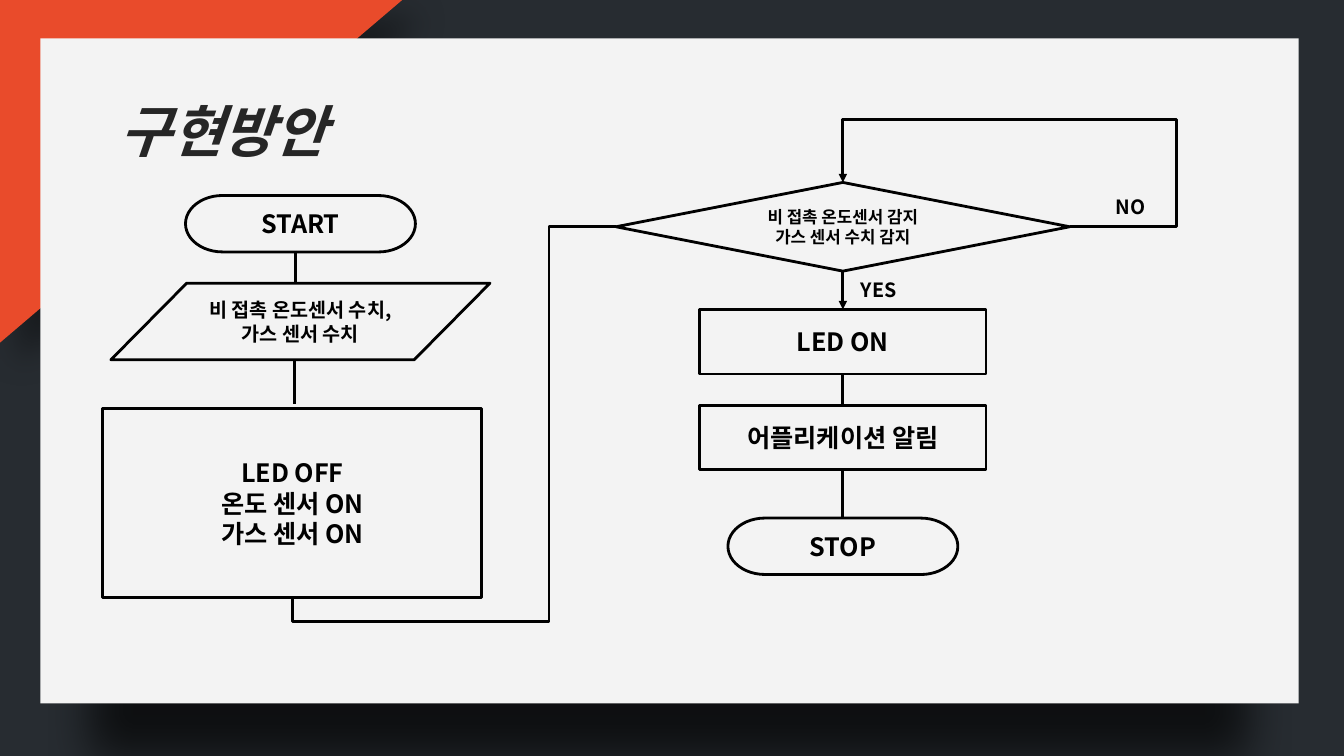
import pptx
import pptx.util
import pptx.dml.color
import pptx.enum.shapes
import pptx.enum.text
import pptx.oxml
import pptx.oxml.ns
import lxml.etree

Inches = pptx.util.Inches
Pt = pptx.util.Pt
RGB = pptx.dml.color.RGBColor.from_string
SHAPE = pptx.enum.shapes.MSO_SHAPE
CONN = pptx.enum.shapes.MSO_CONNECTOR
ALIGN = pptx.enum.text.PP_ALIGN
ANCHOR = pptx.enum.text.MSO_ANCHOR
AUTO = pptx.enum.text.MSO_AUTO_SIZE
qn = pptx.oxml.ns.qn

COLORS = {"back": "272C31", "accent": "E94B2B", "panel": "F3F3F3",
          "title": "262626", "ink": "000000"}
FONT = "Noto Sans CJK KR"


def write(shape, lines, size, align, anchor, color="ink", italic=False, spacing=1.0, wrap=True):
    tf = shape.text_frame
    frame = {"word_wrap": wrap, "auto_size": AUTO.NONE, "vertical_anchor": anchor}
    for name, value in frame.items():
        setattr(tf, name, value)
    for i, line in enumerate(lines):
        p = tf.add_paragraph() if i else tf.paragraphs[0]
        p.alignment = align
        p.line_spacing = spacing
        r = p.add_run()
        r.text = line
        for name, value in {"name": FONT, "size": Pt(size), "bold": True, "italic": italic}.items():
            setattr(r.font, name, value)
        r.font.color.rgb = RGB(COLORS[color])
        ea = lxml.etree.SubElement(r.font._element, qn("a:ea"))
        ea.set("typeface", FONT)


def connect(kind, ends, arrow):
    cx = s.shapes.add_connector(kind, *[Inches(v) for v in ends])
    cx.line.color.rgb = RGB(COLORS["ink"])
    cx.line.width = Pt(2)
    if arrow:
        tail = lxml.etree.SubElement(cx.line._get_or_add_ln(), qn("a:tailEnd"))
        tail.set("type", "triangle")
    lxml.etree.SubElement(cx._element.spPr, qn("a:effectLst"))
    return cx


prs = pptx.Presentation()
prs.slide_width = Inches(13.33)
prs.slide_height = Inches(7.5)
s = prs.slides.add_slide(prs.slide_layouts[5])
s.background.fill.solid()
s.background.fill.fore_color.rgb = RGB(COLORS["back"])

backdrop = [
    (SHAPE.RIGHT_TRIANGLE, (0, 0, 3.99, 3.4), "accent", 40, 23, 19, 45, 100),
    (SHAPE.RECTANGLE, (0.4, 0.38, 12.48, 6.6), "panel", 64, 33, 58, 90, 92),
]
for kind, box, color, alpha, blur, dist, angle, scale in backdrop:
    sp = s.shapes.add_shape(kind, *[Inches(v) for v in box])
    sp.fill.solid()
    sp.fill.fore_color.rgb = RGB(COLORS[color])
    sp.line.fill.background()
    sp.shadow.inherit = False
    if kind == SHAPE.RIGHT_TRIANGLE:
        sp._element.spPr.find(qn("a:xfrm")).set("flipV", "1")
    shadow = lxml.etree.SubElement(sp._element.spPr.find(qn("a:effectLst")), qn("a:outerShdw"))
    values = {"blurRad": Pt(blur), "dist": Pt(dist), "dir": angle * 60000,
              "sx": scale * 1000, "sy": scale * 1000, "algn": "ctr", "rotWithShape": 0}
    for name, value in values.items():
        shadow.set(name, str(value))
    clr = lxml.etree.SubElement(shadow, qn("a:srgbClr"), val=COLORS["ink"])
    lxml.etree.SubElement(clr, qn("a:alpha"), val=str(alpha * 1000))

title = s.shapes.title
s.shapes._spTree.append(title._element)
for name, value in {"left": 1.09, "top": 0.57, "width": 6.67, "height": 0.98}.items():
    setattr(title, name, Inches(value))
write(title, ["구현방안"], 40, ALIGN.LEFT, ANCHOR.TOP, "title", True, 1.5)

steps = {
    "start": (SHAPE.FLOWCHART_TERMINATOR, (1.84, 1.94, 2.28, 0.56), 18, ["START"]),
    "stop": (SHAPE.FLOWCHART_TERMINATOR, (7.22, 5.14, 2.28, 0.56), 18, ["STOP"]),
    "input": (SHAPE.FLOWCHART_DATA, (1.1, 2.81, 3.76, 0.76), 14,
              ["비 접촉 온도센서 수치, 가스 센서 수치"]),
    "setup": (SHAPE.FLOWCHART_PROCESS, (1.02, 4.05, 3.76, 1.88), 18,
              ["LED OFF", "온도 센서 ON", "가스 센서 ON"]),
    "detect": (SHAPE.FLOWCHART_DECISION, (6.11, 1.81, 4.5, 0.88), 12,
               ["비 접촉 온도센서 감지", "가스 센서 수치 감지"]),
    "led": (SHAPE.FLOWCHART_PROCESS, (6.94, 3.07, 2.84, 0.64), 18, ["LED ON"]),
    "alert": (SHAPE.FLOWCHART_PROCESS, (6.94, 4.02, 2.84, 0.64), 18, ["어플리케이션 알림"]),
}
nodes = {}
for key, (kind, box, size, lines) in steps.items():
    sp = s.shapes.add_shape(kind, *[Inches(v) for v in box])
    sp.fill.background()
    sp.line.color.rgb = RGB(COLORS["ink"])
    sp.line.width = Pt(2)
    sp.shadow.inherit = False
    write(sp, lines, size, ALIGN.CENTER, ANCHOR.MIDDLE)
    nodes[key] = sp

for ends in [(2.93, 2.49, 2.93, 2.81), (2.92, 3.58, 2.92, 4.01)]:
    connect(CONN.STRAIGHT, ends, False)

for above, below, arrow in [("detect", "led", True), ("led", "alert", False), ("alert", "stop", False)]:
    cx = connect(CONN.STRAIGHT, (8.36, 3, 8.36, 4), arrow)
    cx.begin_connect(nodes[above], 2)
    cx.end_connect(nodes[below], 0)

elbows = [
    ("setup", 2, "detect", 1, (2.67, 2.48, 3.67, 3.21), {"rot": 90, "flipH": 1, "flipV": 1},
     (-0.068, 0.793), False),
    ("detect", 3, "detect", 0, (8.36, 1.81, 2.25, 0.44), {"rot": 180}, (-0.471, 2.42), True),
]
for first, out, last, into, box, turn, bends, arrow in elbows:
    cx = connect(CONN.ELBOW, (0, 0, 1, 1), arrow)
    cx.begin_connect(nodes[first], out)
    cx.end_connect(nodes[last], into)
    for name, value in zip(("left", "top", "width", "height"), box):
        setattr(cx, name, Inches(value))
    xfrm = cx._element.spPr.find(qn("a:xfrm"))
    for name in ("flipH", "flipV"):
        xfrm.set(name, str(turn.get(name, 0)))
    xfrm.set("rot", str(turn["rot"] * 60000))
    geom = cx._element.spPr.find(qn("a:prstGeom"))
    geom.set("prst", "bentConnector4")
    guides = geom.find(qn("a:avLst"))
    for i, bend in enumerate(bends, 1):
        lxml.etree.SubElement(guides, qn("a:gd"), name=f"adj{i}", fmla=f"val {round(bend * 100000)}")

for label, box in [("YES", (8.44, 2.71, 1.11, 0.34)), ("NO", (10.97, 1.88, 0.52, 0.34))]:
    tb = s.shapes.add_textbox(*[Inches(v) for v in box])
    write(tb, [label], 14, ALIGN.LEFT, ANCHOR.TOP, wrap=False)

prs.save("out.pptx")
